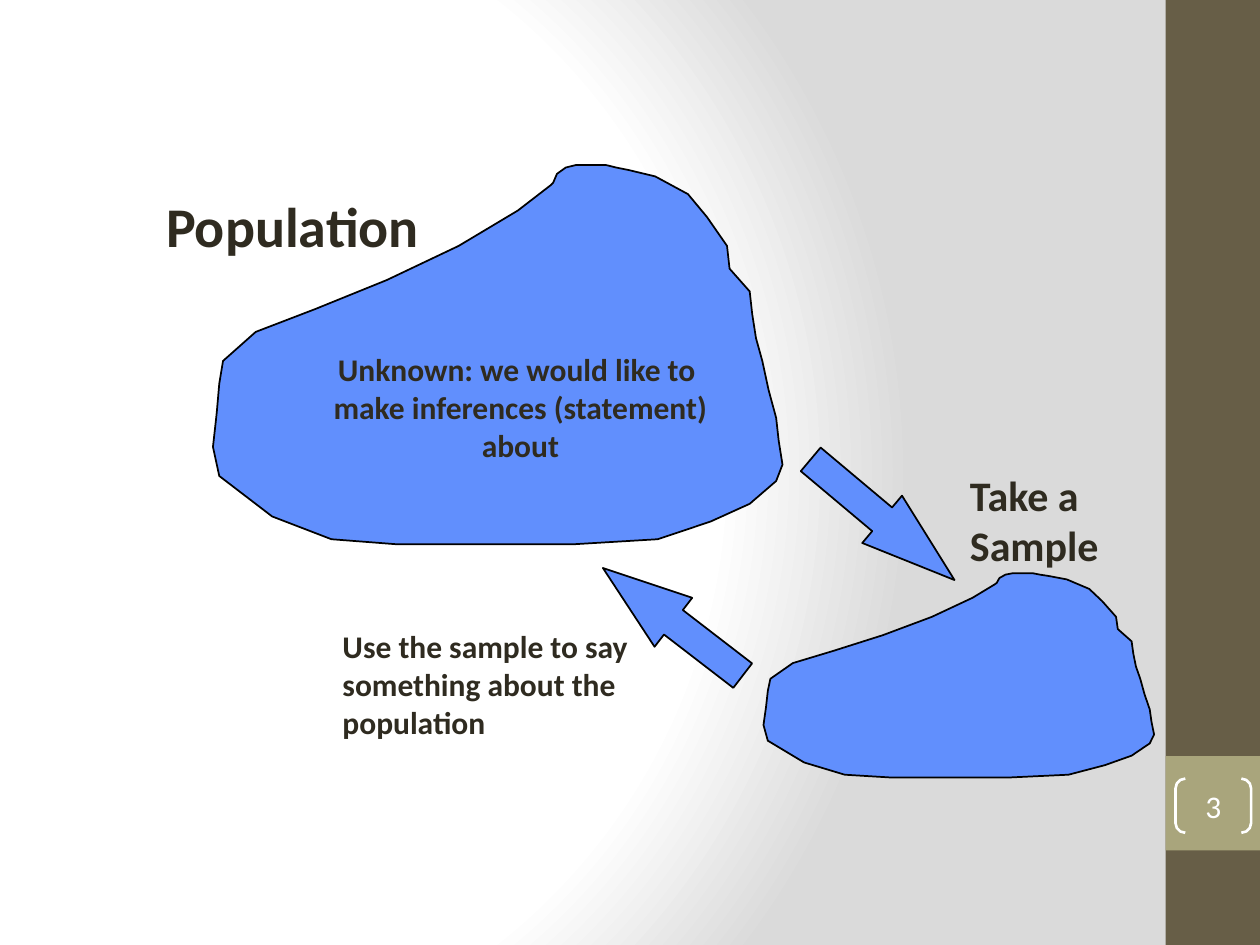
from dataclasses import dataclass

from pptx import Presentation
from pptx.dml.color import RGBColor
from pptx.enum.shapes import MSO_SHAPE as SHAPE
from pptx.enum.text import MSO_ANCHOR as ANCHOR, PP_ALIGN as ALIGN
from pptx.oxml import parse_xml
from pptx.oxml.ns import nsdecls
from pptx.util import Inches, Pt


@dataclass(frozen=True)
class Theme:
    """Colours, font and type sizes of the slide."""
    font: str = "Calibri"
    ink: str = "2F2B20"
    white: str = "FFFFFF"
    shade: str = "DADADA"
    band: str = "675E47"
    badge: str = "A9A57C"
    blue: str = "618FFD"
    outline: str = "000000"
    heading: int = 32
    label: int = 24
    body: int = 18


T = Theme()

# Cloud outline in hundredths of an inch, inside a 452 by 300 frame
CLOUD_SIZE = (452, 300)
CLOUD = [
    (268, 16), (242, 36), (195, 64), (138, 91), (81, 114), (34, 132), (8, 155),
    (5, 173), (3, 196), (0, 223), (5, 246), (47, 278), (94, 296), (146, 300),
    (213, 300), (286, 300), (353, 296), (395, 282), (426, 268), (447, 250),
    (452, 237), (449, 218), (447, 200), (441, 178), (436, 155), (431, 137),
    (428, 118), (426, 100), (410, 82), (408, 64), (392, 41), (377, 23),
    (351, 9), (330, 4), (320, 2), (312, 0), (288, 0), (280, 2), (273, 7),
    (270, 14),
]


def style(sp, fill=None, line=None, width=1):
    """Set fill and line of a shape and take its shadow away."""
    sp.shadow.inherit = False
    if fill:
        sp.fill.solid()
        sp.fill.fore_color.rgb = RGBColor.from_string(fill)
    else:
        sp.fill.background()
    if line:
        sp.line.color.rgb = RGBColor.from_string(line)
        sp.line.width = Pt(width)
    else:
        sp.line.fill.background()


def write(tf, lines, size, color=T.ink, bold=True, align=ALIGN.LEFT):
    """Write one paragraph per line and format the runs."""
    tf.text = "\n".join(lines)
    for p in tf.paragraphs:
        p.alignment = align
        for r in p.runs:
            r.font.name = T.font
            r.font.size = Pt(size)
            r.font.bold = bold
            r.font.color.rgb = RGBColor.from_string(color)


def add_preset(s, kind, box, **look):
    """Add a styled preset shape in a box given in inches."""
    sp = s.shapes.add_shape(kind, *map(Inches, box))
    style(sp, **look)
    return sp


def add_text(s, box, lines, size, align=ALIGN.LEFT, anchor=ANCHOR.TOP, wrap=True):
    """Add a bold text box and return its frame."""
    tf = s.shapes.add_textbox(*map(Inches, box)).text_frame
    tf.word_wrap = wrap
    tf.vertical_anchor = anchor
    write(tf, lines, size, align=align)
    return tf


def add_cloud(s, box):
    """Draw the cloud outline stretched to a box."""
    x, y, w, h = map(Inches, box)
    scale = (w / CLOUD_SIZE[0], h / CLOUD_SIZE[1])
    fb = s.shapes.build_freeform(*CLOUD[0], scale=scale)
    fb.add_line_segments(CLOUD[1:], close=True)
    style(fb.convert_to_shape(x, y), T.blue, T.outline)


def add_arrow(s, box, angle, head, flip=False):
    """Add a turned block arrow, mirrored if flip is set."""
    sp = add_preset(s, SHAPE.RIGHT_ARROW, box, fill=T.blue, line=T.outline)
    sp.adjustments[1] = head
    sp.rotation = angle
    if flip:
        sp._element.spPr.xfrm.set("flipH", "1")


def set_background(s):
    """Give the slide a radial gradient from white to grey."""
    s.background.fill.gradient()
    old = s._element.cSld.bg.bgPr[0]
    stops = "".join(
        f'<a:gs pos="{pos * 1000}"><a:srgbClr val="{color}"/></a:gs>'
        for pos, color in ((0, T.white), (75, T.white), (100, T.shade)))
    grad = parse_xml(
        f'<a:gradFill {nsdecls("a")} rotWithShape="1"><a:gsLst>{stops}</a:gsLst>'
        '<a:path path="circle"><a:fillToRect l="20000" t="50000" r="100000" '
        'b="50000"/></a:path></a:gradFill>')
    old.getparent().replace(old, grad)


def add_side_band(s, box, number):
    """Add the side band with the bracketed page number."""
    x, y, w, h = box
    add_preset(s, SHAPE.RECTANGLE, box, fill=T.band)
    add_preset(s, SHAPE.RECTANGLE, (x, y + 6, w, w), fill=T.badge)
    sp = add_preset(s, SHAPE.DOUBLE_BRACKET, (x + 0.08, y + 6.18, 0.6, 0.43),
                    line=T.white, width=1.5)
    sp.adjustments[0] = 0.18
    tf = sp.text_frame
    tf.margin_left = tf.margin_right = tf.margin_top = tf.margin_bottom = 0
    tf.vertical_anchor = ANCHOR.MIDDLE
    write(tf, [number], T.body, T.white, bold=False, align=ALIGN.CENTER)


def add_population(s, x, y):
    """Add the large cloud with its heading and statement."""
    add_cloud(s, (x, y, 4.52, 3.01))
    add_text(s, (x - 0.47, y + 0.16, 2.84, 0.63), ["Population"], T.heading)
    tf = add_text(s, (x + 0.55, y + 1.42, 3.78, 0.95),
                  ["Unknown: we would like to ", "make inferences (statement) about"],
                  T.body, ALIGN.CENTER, ANCHOR.MIDDLE)
    tf.margin_bottom = 0


def add_sample(s, x, y):
    """Add the small cloud with its label."""
    add_cloud(s, (x, y, 3.1, 1.62))
    add_text(s, (x + 1.54, y - 0.88, 1.23, 0.91), ["Take a", "Sample"], T.label,
             anchor=ANCHOR.MIDDLE, wrap=False)


def add_cycle(s, x, y):
    """Add the arrows between the clouds and the note on inference."""
    add_arrow(s, (x + 3.64, y, 1.49, 0.49), 40, 1.53)
    add_arrow(s, (x + 2.02, y + 0.81, 1.4, 0.49), 37.6, 1.44, flip=True)
    add_text(s, (x, y + 1.05, 2.84, 1),
             ["Use the sample to say something about the population"], T.body)


prs = Presentation()
prs.slide_width, prs.slide_height = Inches(10), Inches(7.5)
s = prs.slides.add_slide(prs.slide_layouts[6])
set_background(s)
add_side_band(s, (9.25, 0, 0.75, 7.5), "3")
add_population(s, 1.69, 1.31)
add_sample(s, 6.06, 4.55)
add_cycle(s, 2.62, 3.88)
prs.save("out.pptx")
